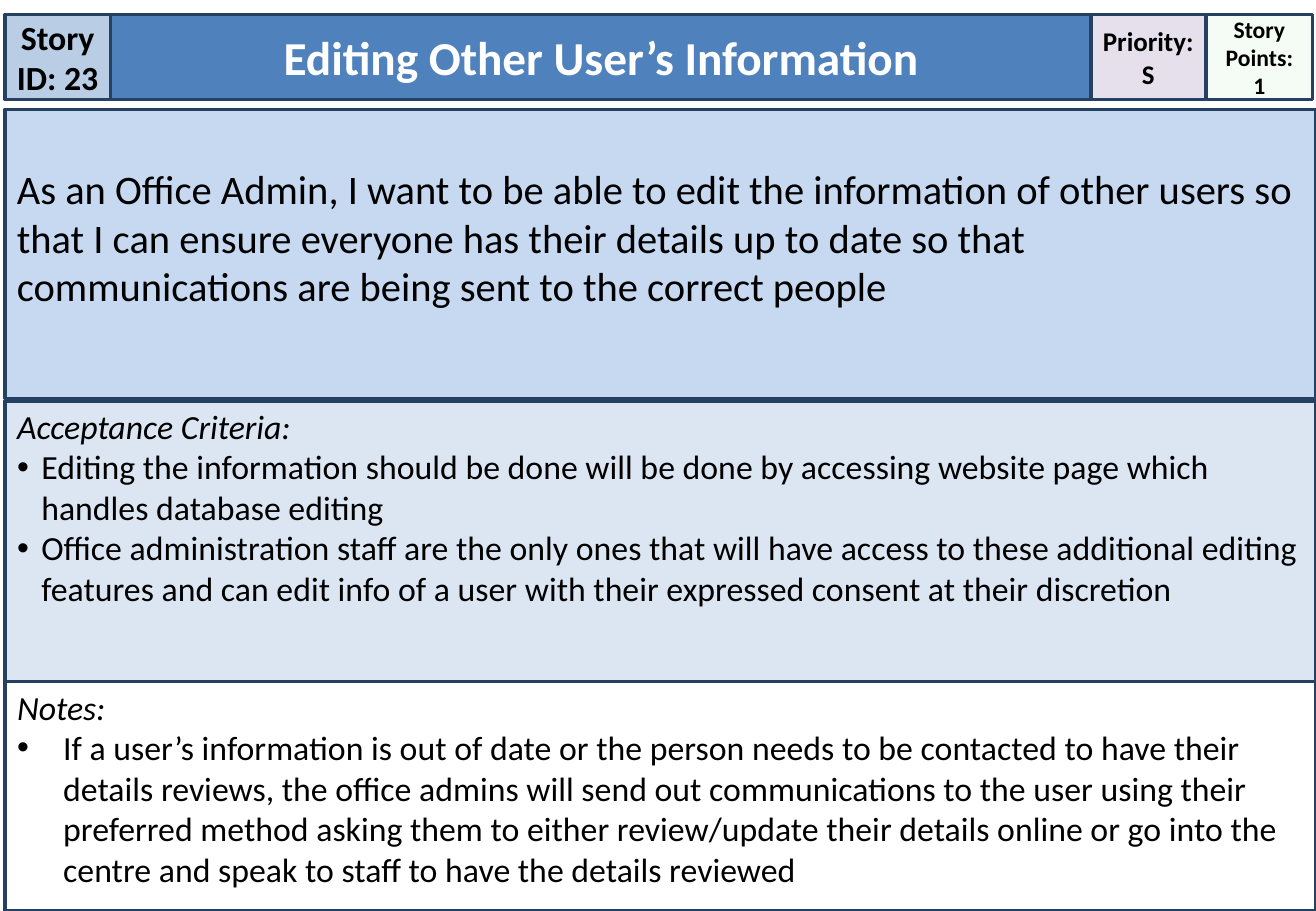
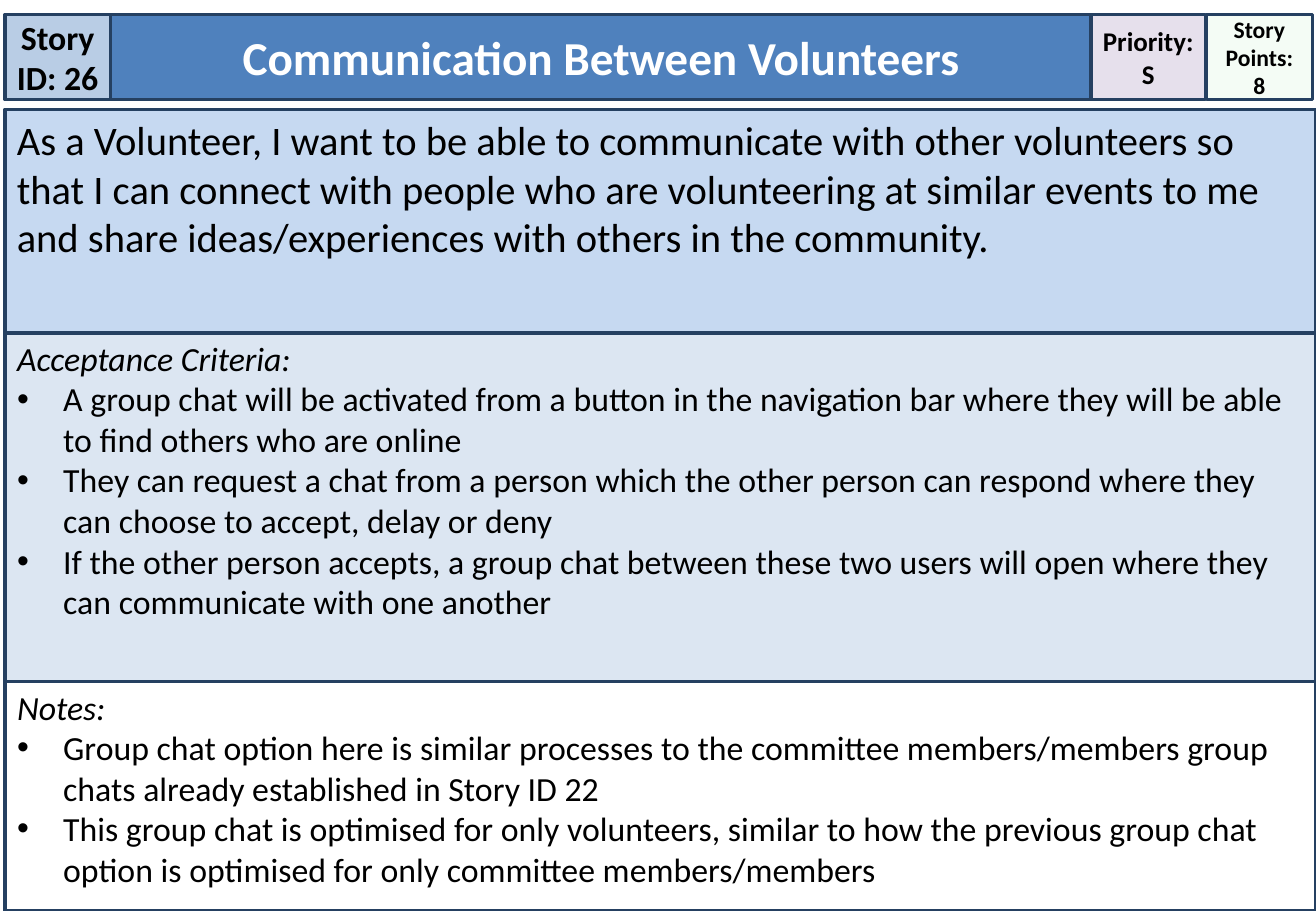
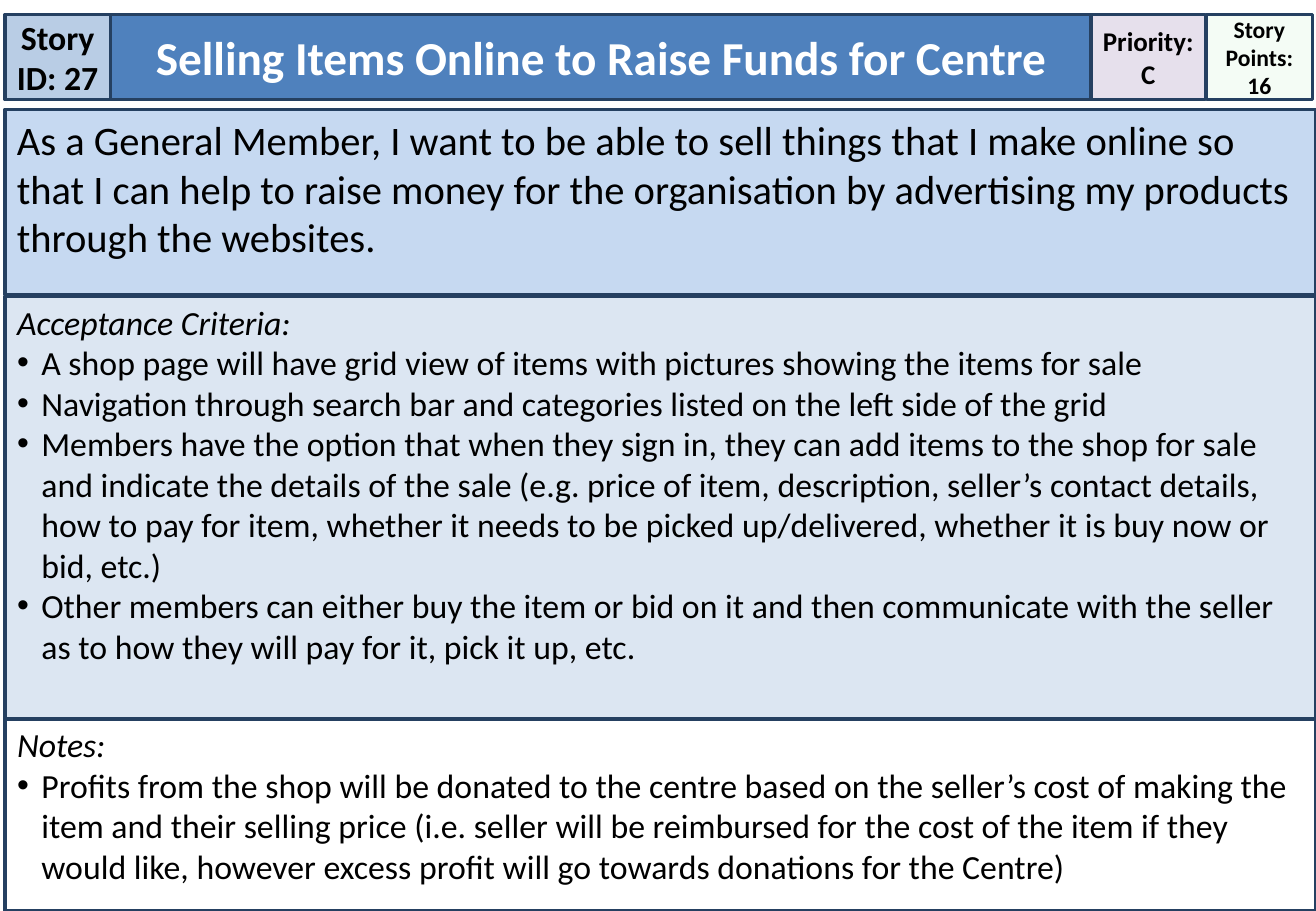
from dataclasses import dataclass

from lxml.etree import SubElement
from pptx import Presentation
from pptx.dml.color import RGBColor
from pptx.enum.shapes import MSO_SHAPE
from pptx.enum.text import MSO_ANCHOR, MSO_AUTO_SIZE, PP_ALIGN
from pptx.oxml.ns import qn
from pptx.util import Inches, Pt


@dataclass(frozen=True)
class Theme:
    """Colours and type sizes shared by all cards."""
    font: str = "Calibri"
    border: str = "254061"
    ink: str = "000000"
    title_ink: str = "FFFFFF"
    id_fill: str = "B9CDE5"
    title_fill: str = "4F81BD"
    priority_fill: str = "E6E0EC"
    points_fill: str = "CCF0CD"
    story_fill: str = "C6D9F1"
    criteria_fill: str = "DCE6F2"
    remarks_fill: str = "FFFFFF"
    title_size: int = 28
    story_size: int = 24
    body_size: int = 20
    priority_size: int = 16
    points_size: int = 14


@dataclass(frozen=True)
class Card:
    """Content of one user story and the heights that suit it."""
    number: int
    title: str
    priority: str
    points: int
    story: str
    criteria: tuple
    remarks: tuple
    story_bottom: float
    criteria_top: float
    remarks_top: float
    criteria_indent: float = 0.38
    remarks_indent: float = 0.38
    story_inset: float = 0.05


THEME = Theme()
SLIDE_W, SLIDE_H = 10.83, 7.5
LEFT = 0.04
HEADER_TOP, HEADER_H = 0.12, 0.7
STORY_TOP = 0.9
TEXT_INSETS = (0.1, 0.05, 0.1, 0.05)
TAG_INSETS = (0, 0.05, 0, 0.05)
LIST_INSETS = (0.1, 0.04, 0.1, 0.05)

CARDS = (
    Card(
        23, "Editing Other User’s Information", "S", 1,
        "As an Office Admin, I want to be able to edit the information of "
        "other users so that I can ensure everyone has their details up to "
        "date so that communications are being sent to the correct people",
        ("Editing the information should be done will be done by accessing "
         "website page which handles database editing",
         "Office administration staff are the only ones that will have access "
         "to these additional editing features and can edit info of a user "
         "with their expressed consent at their discretion"),
        ("If a user’s information is out of date or the person needs to be "
         "contacted to have their details reviews, the office admins will "
         "send out communications to the user using their preferred method "
         "asking them to either review/update their details online or go into "
         "the centre and speak to staff to have the details reviewed",),
        story_bottom=3.28, criteria_top=3.3, remarks_top=5.61,
        criteria_indent=0.2, story_inset=0.45),
    Card(
        26, "Communication Between Volunteers", "S", 8,
        "As a Volunteer, I want to be able to communicate with other "
        "volunteers so that I can connect with people who are volunteering at "
        "similar events to me and share ideas/experiences with others in the "
        "community.",
        ("A group chat will be activated from a button in the navigation bar "
         "where they will be able to find others who are online",
         "They can request a chat from a person which the other person can "
         "respond where they can choose to accept, delay or deny",
         "If the other person accepts, a group chat between these two users "
         "will open where they can communicate with one another"),
        ("Group chat option here is similar processes to the committee "
         "members/members group chats already established in Story ID 22",
         "This group chat is optimised for only volunteers, similar to how "
         "the previous group chat option is optimised for only committee "
         "members/members"),
        story_bottom=2.74, criteria_top=2.74, remarks_top=5.61),
    Card(
        27, "Selling Items Online to Raise Funds for Centre", "C", 16,
        "As a General Member, I want to be able to sell things that I make "
        "online so that I can help to raise money for the organisation by "
        "advertising my products through the websites.",
        ("A shop page will have grid view of items with pictures showing the "
         "items for sale",
         "Navigation through search bar and categories listed on the left "
         "side of the grid",
         "Members have the option that when they sign in, they can add items "
         "to the shop for sale and indicate the details of the sale (e.g. "
         "price of item, description, seller’s contact details, how to pay "
         "for item, whether it needs to be picked up/delivered, whether it is "
         "buy now or bid, etc.)",
         "Other members can either buy the item or bid on it and then "
         "communicate with the seller as to how they will pay for it, pick it "
         "up, etc."),
        ("Profits from the shop will be donated to the centre based on the "
         "seller’s cost of making the item and their selling price (i.e. "
         "seller will be reimbursed for the cost of the item if they would "
         "like, however excess profit will go towards donations for the "
         "Centre)",),
        story_bottom=2.43, criteria_top=2.44, remarks_top=5.92,
        criteria_indent=0.2, remarks_indent=0.2),
)


def write(tf, text, *, size, color=THEME.ink, bold=False, italic=False,
          align=PP_ALIGN.LEFT, indent=0):
    """Add a formatted paragraph, bulleted when it has an indent."""
    p = tf.add_paragraph() if tf.text else tf.paragraphs[0]
    p.alignment = align
    p.space_before = Pt(0)
    r = p.add_run()
    r.text = text
    r.font.name, r.font.size = THEME.font, Pt(size)
    r.font.bold, r.font.italic = bold, italic
    r.font.color.rgb = RGBColor.from_string(color)
    pPr = p._p.get_or_add_pPr()
    pPr.set("marL", str(Inches(indent)))
    pPr.set("indent", str(-Inches(indent)))
    if indent:
        SubElement(pPr, qn("a:buFont"), typeface="Arial")
        SubElement(pPr, qn("a:buChar"), char="•")
    else:
        SubElement(pPr, qn("a:buNone"))


def style_panel(sp, box, fill, insets=TEXT_INSETS, anchor=MSO_ANCHOR.TOP,
                wrap=True):
    """Place a bordered panel and return its text frame."""
    sp.left, sp.top, sp.width, sp.height = map(Inches, box)
    sp.shadow.inherit = False
    sp.fill.solid()
    sp.fill.fore_color.rgb = RGBColor.from_string(fill)
    sp.line.color.rgb = RGBColor.from_string(THEME.border)
    sp.line.width = Pt(2)
    tf = sp.text_frame
    tf.auto_size = MSO_AUTO_SIZE.NONE
    tf.word_wrap = wrap
    tf.vertical_anchor = anchor
    (tf.margin_left, tf.margin_top,
     tf.margin_right, tf.margin_bottom) = map(Inches, insets)
    return tf


def add_rect(slide):
    """Add a plain rectangle."""
    return slide.shapes.add_shape(MSO_SHAPE.RECTANGLE, 0, 0, 0, 0)


def add_tag(slide, left, width, fill, lines, size, wrap=True):
    """Add a small header cell with centred bold lines."""
    sp = add_rect(slide)
    tf = style_panel(sp, (left, HEADER_TOP, width, HEADER_H), fill,
                     TAG_INSETS, MSO_ANCHOR.MIDDLE, wrap)
    for line in lines:
        write(tf, line, size=size, bold=True, align=PP_ALIGN.CENTER)
    return sp


def set_alpha(sp, percent):
    """Set the opacity of a solid fill."""
    color = sp.element.spPr.find(qn("a:solidFill"))[0]
    SubElement(color, qn("a:alpha"), val=str(percent * 1000))


def band(top, bottom):
    """Return the box of a full-width band."""
    return LEFT, top, SLIDE_W - LEFT, bottom - top


def fill_list(sp, box, fill, heading, items, indent):
    """Fill a body placeholder with a heading and bullets."""
    tf = style_panel(sp, box, fill, LIST_INSETS)
    write(tf, heading, size=THEME.body_size, italic=True)
    for item in items:
        write(tf, item, size=THEME.body_size, indent=indent)


def add_header(slide, card):
    """Build the header row of a card."""
    add_tag(slide, LEFT, 0.87, THEME.id_fill,
            [f"Story ID: {card.number}"], THEME.body_size)
    tf = style_panel(slide.shapes.title, (0.91, HEADER_TOP, 8.07, HEADER_H),
                     THEME.title_fill, anchor=MSO_ANCHOR.MIDDLE)
    write(tf, card.title, size=THEME.title_size, color=THEME.title_ink,
          bold=True, align=PP_ALIGN.CENTER)
    points = add_tag(slide, 9.93, 0.87, THEME.points_fill,
                     ["Story Points:", str(card.points)], THEME.points_size)
    set_alpha(points, 20)
    add_tag(slide, 8.98, 0.94, THEME.priority_fill,
            ["Priority:", card.priority], THEME.priority_size, wrap=False)


def add_card(prs, card):
    """Build one story slide."""
    slide = prs.slides.add_slide(prs.slide_layouts.get_by_name("Two Content"))
    add_header(slide, card)
    left, _, right, bottom = TEXT_INSETS
    tf = style_panel(add_rect(slide), band(STORY_TOP, card.story_bottom),
                     THEME.story_fill, (left, card.story_inset, right, bottom))
    write(tf, card.story, size=THEME.story_size)
    criteria, remarks = slide.placeholders[1], slide.placeholders[2]
    fill_list(criteria, band(card.criteria_top, card.remarks_top),
              THEME.criteria_fill, "Acceptance Criteria:", card.criteria,
              card.criteria_indent)
    fill_list(remarks, band(card.remarks_top, SLIDE_H), THEME.remarks_fill,
              "Notes:", card.remarks, card.remarks_indent)


def main():
    """Build the deck of story cards."""
    prs = Presentation()
    prs.slide_width, prs.slide_height = Inches(SLIDE_W), Inches(SLIDE_H)
    for card in CARDS:
        add_card(prs, card)
    prs.save("out.pptx")


main()
